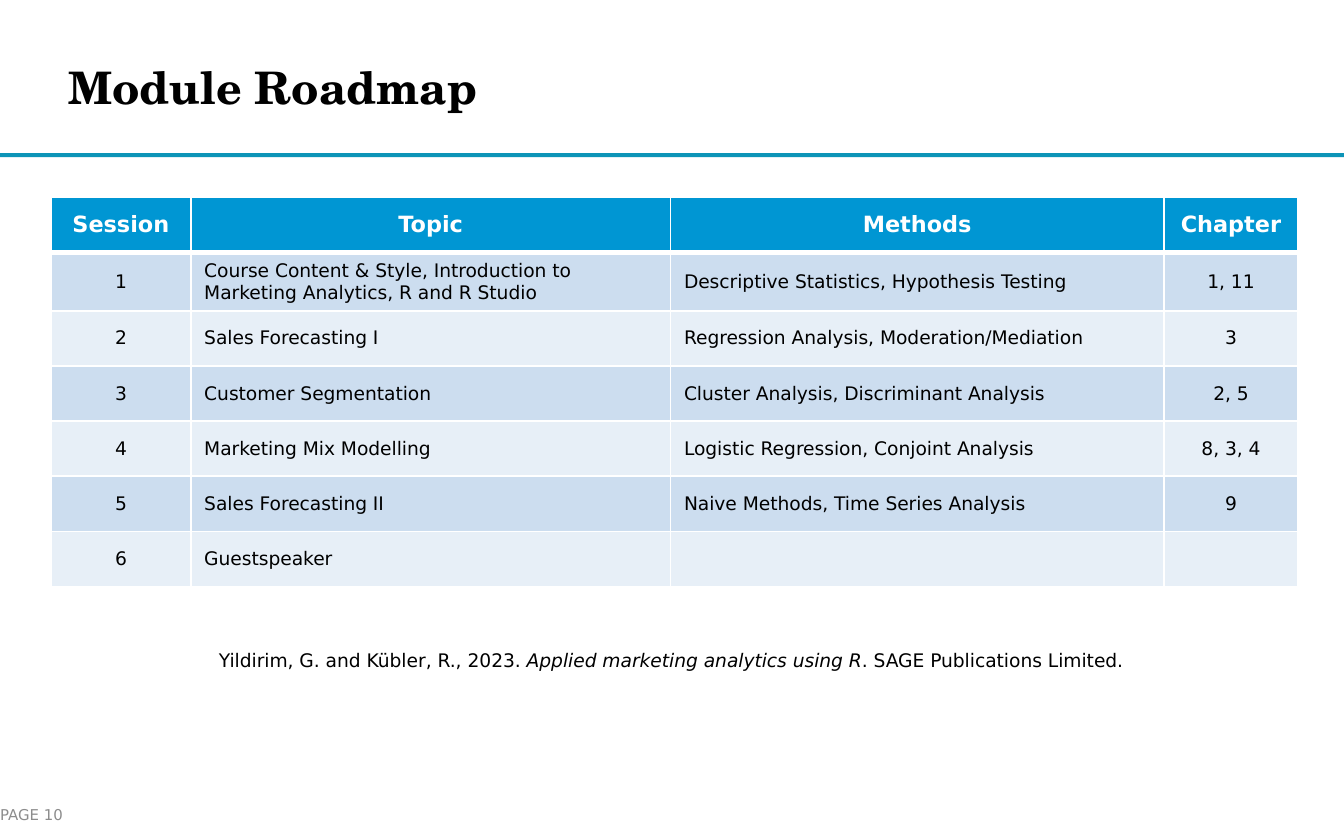
import dataclasses

import lxml.etree
import pptx
import pptx.dml.color
import pptx.enum.shapes
import pptx.enum.text
import pptx.oxml.ns
import pptx.util

Inches = pptx.util.Inches
Align = pptx.enum.text.PP_ALIGN
Anchor = pptx.enum.text.MSO_ANCHOR

BODY_FONT = "DejaVu Sans"
TITLE_FONT = "TeX Gyre Schola"
BLACK, WHITE, GREY = "000000", "FFFFFF", "8C8C8C"
RULE_BLUE, HEADER_BLUE = "0C94B7", "0096D3"
BAND_COLORS = ("CCDDEF", "E7EFF7")


@dataclasses.dataclass
class Session:
    topic: str
    methods: str = ""
    chapter: str = ""


@dataclasses.dataclass
class Column:
    heading: str
    width: float
    align: Align


COLUMNS = [
    Column("Session", 1.04, Align.CENTER),
    Column("Topic", 3.57, Align.LEFT),
    Column("Methods", 3.67, Align.LEFT),
    Column("Chapter", 1, Align.CENTER),
]

SESSIONS = [
    Session("Course Content & Style, Introduction to Marketing Analytics, R and R Studio",
            "Descriptive Statistics, Hypothesis Testing", "1, 11"),
    Session("Sales Forecasting I", "Regression Analysis, Moderation/Mediation", "3"),
    Session("Customer Segmentation", "Cluster Analysis, Discriminant Analysis", "2, 5"),
    Session("Marketing Mix Modelling", "Logistic Regression, Conjoint Analysis", "8, 3, 4"),
    Session("Sales Forecasting II", "Naive Methods, Time Series Analysis", "9"),
    Session("Guestspeaker"),
]


def color(value: str) -> pptx.dml.color.RGBColor:
    return pptx.dml.color.RGBColor.from_string(value)


def format_runs(para, size: float, tint: str, bold: bool = False, face: str = BODY_FONT) -> None:
    for span in para.runs:
        span.font.name = face
        span.font.size = pptx.util.Pt(size)
        span.font.bold = bold
        span.font.color.rgb = color(tint)


def set_insets(frame, left: float, top: float, right: float, bottom: float) -> None:
    frame.margin_left, frame.margin_top = Inches(left), Inches(top)
    frame.margin_right, frame.margin_bottom = Inches(right), Inches(bottom)


def place(box, left: float, top: float, width: float, height: float) -> None:
    box.left, box.top = Inches(left), Inches(top)
    box.width, box.height = Inches(width), Inches(height)


def set_borders(cell, bottom_width: float) -> None:
    """Draw white borders; they must come before the fill in the cell properties."""
    properties = cell._tc.get_or_add_tcPr()
    qn = pptx.oxml.ns.qn
    for side, width in (("L", 1), ("R", 1), ("T", 1), ("B", bottom_width)):
        line = lxml.etree.SubElement(properties, qn(f"a:ln{side}"), w=str(pptx.util.Pt(width)))
        fill = lxml.etree.SubElement(line, qn("a:solidFill"))
        lxml.etree.SubElement(fill, qn("a:srgbClr"), val=WHITE)


def fill_cell(cell, text: str, align: Align, fill: str, header: bool) -> None:
    set_borders(cell, 3 if header else 1)
    cell.fill.solid()
    cell.fill.fore_color.rgb = color(fill)
    cell.vertical_anchor = Anchor.MIDDLE
    if text:
        cell.text_frame.text = text
        para = cell.text_frame.paragraphs[0]
        para.alignment = align
        format_runs(para, 12 if header else 10, WHITE if header else BLACK, header)


def add_roadmap(page) -> None:
    row_height = 0.41
    row_count = len(SESSIONS) + 1
    table = page.shapes.add_table(
        row_count, len(COLUMNS), Inches(0.38), Inches(1.47),
        Inches(sum(column.width for column in COLUMNS)), Inches(row_height * row_count)).table
    for row in table.rows:
        row.height = Inches(row_height)
    for index, column in enumerate(COLUMNS):
        table.columns[index].width = Inches(column.width)
        fill_cell(table.cell(0, index), column.heading, Align.CENTER, HEADER_BLUE, True)
    for number, session in enumerate(SESSIONS, start=1):
        band = BAND_COLORS[(number - 1) % 2]
        texts = (str(number), session.topic, session.methods, session.chapter)
        for index, text in enumerate(texts):
            fill_cell(table.cell(number, index), text, COLUMNS[index].align, band, False)


def add_citation(page) -> None:
    box = page.shapes.add_textbox(Inches(1.53), Inches(4.78), Inches(7.14), Inches(0.27))
    frame = box.text_frame
    frame.word_wrap = False
    frame.auto_size = pptx.enum.text.MSO_AUTO_SIZE.SHAPE_TO_FIT_TEXT
    para = frame.paragraphs[0]
    for text, italic in (("Yildirim, G. and Kübler, R., 2023. ", False),
                         ("Applied marketing analytics using R", True),
                         (". SAGE Publications Limited.", False)):
        span = para.add_run()
        span.text = text
        span.font.italic = italic
    format_runs(para, 10, BLACK)


def main() -> None:
    deck = pptx.Presentation()
    deck.slide_width, deck.slide_height = Inches(10), Inches(6.25)
    page = deck.slides.add_slide(deck.slide_layouts[5])

    # Rule under the title
    rule = page.shapes.add_shape(pptx.enum.shapes.MSO_SHAPE.RECTANGLE,
                                 0, Inches(1.14), deck.slide_width, Inches(0.03))
    rule.shadow.inherit = False
    rule.fill.solid()
    rule.fill.fore_color.rgb = color(RULE_BLUE)
    rule.line.fill.background()

    # Title
    title = page.shapes.title
    place(title, 0.51, 0.15, 7.48, 0.99)
    title.text_frame.text = "Module Roadmap"
    title.text_frame.vertical_anchor = Anchor.MIDDLE
    set_insets(title.text_frame, 0, 0, 0, 0)
    title.text_frame.paragraphs[0].alignment = Align.LEFT
    format_runs(title.text_frame.paragraphs[0], 24, BLACK, True, TITLE_FONT)

    # Page number
    footer = page.shapes.add_textbox(0, Inches(5.92), Inches(0.98), Inches(0.28))
    footer.text_frame.word_wrap = True
    footer.text_frame.text = "PAGE 10"
    footer.text_frame.vertical_anchor = Anchor.MIDDLE
    set_insets(footer.text_frame, 0, 0.05, 0, 0.05)
    format_runs(footer.text_frame.paragraphs[0], 8, GREY)

    # Session table and its source book
    add_roadmap(page)
    add_citation(page)
    deck.save("out.pptx")


if __name__ == "__main__":
    main()
